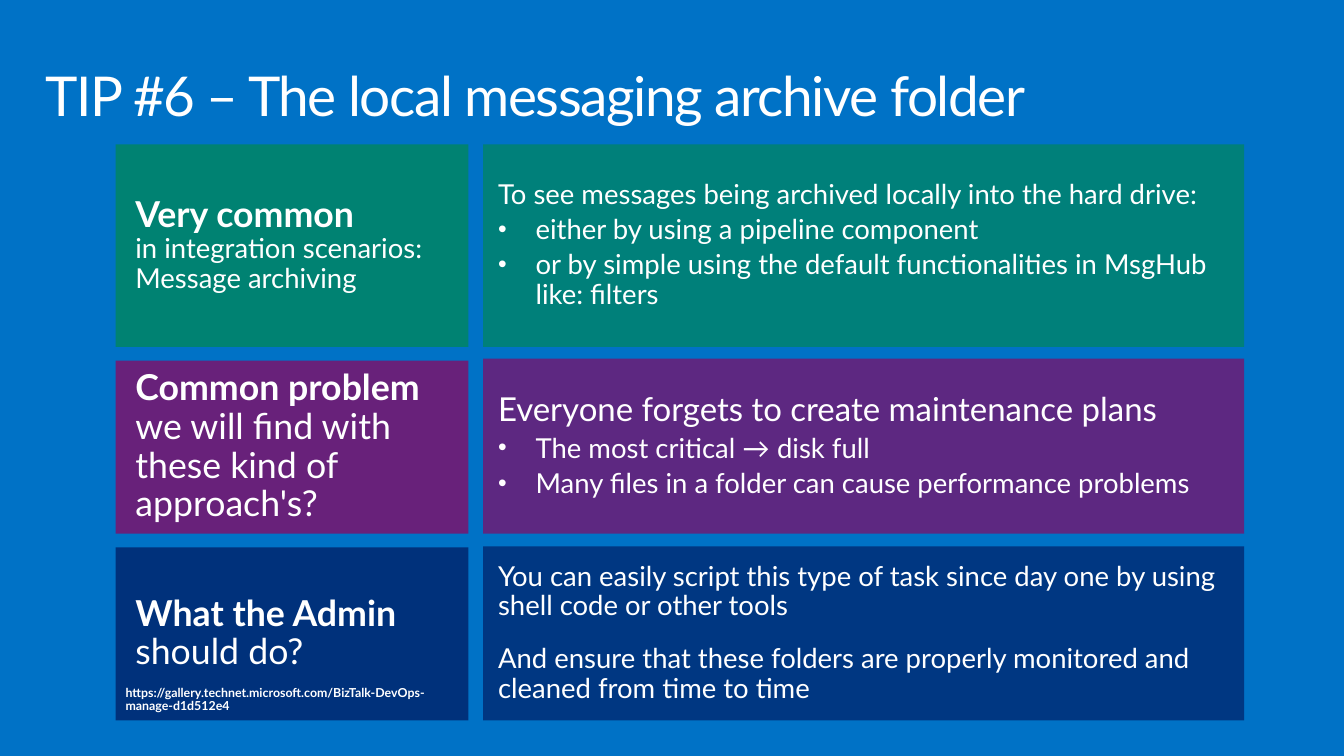
from lxml import etree
from pptx import Presentation
from pptx.dml.color import RGBColor
from pptx.enum import shapes, text
from pptx.oxml import ns
from pptx.util import Inches, Pt

WHITE = RGBColor(0xFF, 0xFF, 0xFF)
BLUE = RGBColor(0x00, 0x72, 0xC6)
GREEN = RGBColor(0x00, 0x82, 0x72)
PURPLE = RGBColor(0x68, 0x21, 0x7A)
NAVY = RGBColor(0x00, 0x31, 0x7B)
FONT = "Lato"

# Content
TITLE = "TIP #6 – The local messaging archive folder"
LINK = "https://gallery.technet.microsoft.com/BizTalk-DevOps-manage-d1d512e4"

# Topic: colour, (top, height) of card and panel, lead, break after lead,
# rest, size of rest, and details as (text, size, bulleted, space before)
TOPICS = [
    (GREEN, (1.46, 2.05), (1.46, 2.05),
     "Very common", True, "in integration scenarios: Message archiving", 20,
     [("To see messages being archived locally into the hard drive:", 20, False, 0),
      ("either by using a pipeline component", 20, True, 4),
      ("or by simple using the default functionalities in MsgHub like: filters",
       20, True, 4)]),
    (PURPLE, (3.65, 1.75), (3.63, 1.77),
     "Common problem ", False, "we will find with these kind of approach's?", 26,
     [("Everyone forgets to create maintenance plans", 24, False, 0),
      ("The most critical →\u00a0disk full", 20, True, 4),
      ("Many files in a folder can cause performance problems", 20, True, 4)]),
    (NAVY, (5.54, 1.75), (5.53, 1.76),
     "What the Admin", True, "should do?", 26,
     [("You can easily script this type of task since day one by using "
       "shell code or other tools", 20, False, 0),
      ("And ensure that these folders are properly monitored and cleaned "
       "from time to time", 20, False, 17)]),
]

# Columns: left, width
CARD = (1.17, 3.57)
PANEL = (4.89, 7.7)
INDENT = 0.38

prs = Presentation()
prs.slide_width, prs.slide_height = Inches(13.6), Inches(7.65)
slide = prs.slides.add_slide(prs.slide_layouts[6])
slide.background.fill.solid()
slide.background.fill.fore_color.rgb = BLUE


def set_frame(shape, side, end, anchor, right=None):
    frame = shape.text_frame
    frame.word_wrap = True
    frame.vertical_anchor = anchor
    frame.margin_left = Inches(side)
    frame.margin_right = Inches(side if right is None else right)
    frame.margin_top = frame.margin_bottom = Inches(end)
    return frame


def add_block(column, row, color, opacity=100):
    left, width = column
    top, height = row
    block = slide.shapes.add_shape(shapes.MSO_SHAPE.RECTANGLE, Inches(left),
                                   Inches(top), Inches(width), Inches(height))
    block.shadow.inherit = False
    block.line.fill.background()
    block.fill.solid()
    block.fill.fore_color.rgb = color
    if opacity < 100:
        rgb = block.fill._xPr.find(".//" + ns.qn("a:srgbClr"))
        etree.SubElement(rgb, ns.qn("a:alpha"), val=str(opacity * 1000))
    return block


def set_style(paragraph, size=None, bold=None, spacing=0.9):
    paragraph.alignment = text.PP_ALIGN.LEFT
    paragraph.line_spacing = spacing
    font = paragraph.font
    font.name = FONT
    font.color.rgb = WHITE
    if size:
        font.size = Pt(size)
    font.bold = bold


def add_bullet(paragraph):
    props = paragraph._p.get_or_add_pPr()
    props.set("marL", str(Inches(INDENT)))
    props.set("indent", str(-Inches(INDENT)))
    etree.SubElement(props, ns.qn("a:buSzPct"), val="90000")
    etree.SubElement(props, ns.qn("a:buFont"), typeface="Arial")
    etree.SubElement(props, ns.qn("a:buChar"), char="•")


# Title
title = slide.shapes.add_textbox(Inches(0.3), Inches(0.32), Inches(13), Inches(1))
heading = set_frame(title, 0.16, 0.1, text.MSO_ANCHOR.TOP).paragraphs[0]
heading.text = TITLE
set_style(heading, 40, spacing=Pt(63))
heading.runs[0].font._element.set("spc", "-100")

# Topic cards and their detail panels
for color, card_row, panel_row, lead, breaks, rest, rest_size, details in TOPICS:
    card = add_block(CARD, card_row, color)
    summary = set_frame(card, 0.2, 0.12, text.MSO_ANCHOR.MIDDLE).paragraphs[0]
    set_style(summary)
    for words, size, bold in ((lead, 26, True), (rest, rest_size, False)):
        run = summary.add_run()
        run.text = words
        run.font.size = Pt(size)
        run.font.bold = bold
        if bold and breaks:
            summary.add_line_break()

    panel = add_block(PANEL, panel_row, color, 90)
    frame = set_frame(panel, 0.15, 0, text.MSO_ANCHOR.MIDDLE, right=0.2)
    for number, (words, size, bulleted, before) in enumerate(details):
        detail = frame.add_paragraph() if number else frame.paragraphs[0]
        detail.text = words
        if bulleted:
            add_bullet(detail)
        set_style(detail, size)
        if before:
            detail.space_before = Pt(before)

# Script link
source = slide.shapes.add_textbox(Inches(1.07), Inches(6.81), Inches(3.68), Inches(0.6))
link = set_frame(source, 0.2, 0.16, text.MSO_ANCHOR.TOP).paragraphs[0]
link.text = LINK
set_style(link, 9, bold=True)

prs.save("out.pptx")
